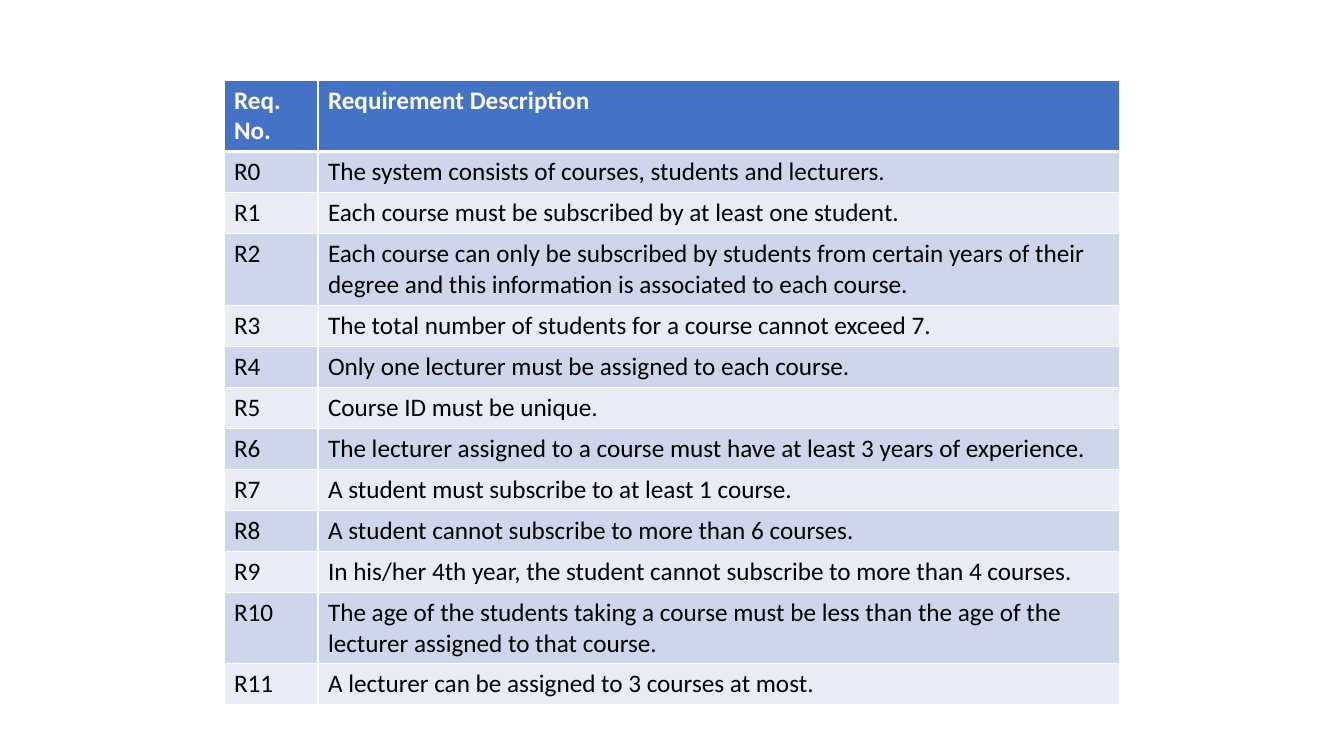
import pptx
import pptx.dml.color
import pptx.oxml
import pptx.oxml.ns
import pptx.util

# Content
HEADER = ("Req.\nNo.", "Requirement Description")
REQUIREMENTS = [
    "The system consists of courses, students and lecturers.",
    "Each course must be subscribed by at least one student.",
    "Each course can only be subscribed by students from certain years of their "
    "degree and this information is associated to each course.",
    "The total number of students for a course cannot exceed 7.",
    "Only one lecturer must be assigned to each course.",
    "Course ID must be unique.",
    "The lecturer assigned to a course must have at least 3 years of experience.",
    "A student must subscribe to at least 1 course.",
    "A student cannot subscribe to more than 6 courses.",
    "In his/her 4th year, the student cannot subscribe to more than 4 courses.",
    "The age of the students taking a course must be less than the age of the "
    "lecturer assigned to that course.",
    "A lecturer can be assigned to 3 courses at most.",
]

# Style and layout, lengths in px
COLORS = {"header": "4472C4", "odd": "CFD5EA", "even": "E9EBF5",
          "border": "FFFFFF", "header_text": "FFFFFF", "text": "000000"}
FONT, FONT_SIZE = "Calibri", 18
SLIDE_WIDTH, SLIDE_HEIGHT = 1344, 756
TABLE_LEFT, TABLE_TOP, TABLE_HEIGHT = 224, 80, 621
COLUMN_WIDTHS = (94, 802)
ROW_HEIGHT = 41
THIN, THICK = 1, 3


def px(length):
    return pptx.util.Emu(round(length * 914400 / 100.8))


def set_border(cell, side, points):
    line = pptx.oxml.parse_xml(
        f'<a:{side} {pptx.oxml.ns.nsdecls("a")} w="{pptx.util.Pt(points)}">'
        f'<a:solidFill><a:srgbClr val="{COLORS["border"]}"/></a:solidFill>'
        f'</a:{side}>')
    cell._tc.get_or_add_tcPr().append(line)


def fill_cell(cell, text, row):
    is_header = row == 0
    cell.text_frame.text = text
    for para in cell.text_frame.paragraphs:
        for span in para.runs:
            span.font.name = FONT
            span.font.size = pptx.util.Pt(FONT_SIZE)
            span.font.bold = is_header
            span.font.color.rgb = pptx.dml.color.RGBColor.from_string(
                COLORS["header_text" if is_header else "text"])
    # Borders come before the fill in the cell properties
    for side in ("lnL", "lnR", "lnT", "lnB"):
        thick = (row == 0 and side == "lnB") or (row == 1 and side == "lnT")
        set_border(cell, side, THICK if thick else THIN)
    shade = "header" if is_header else "odd" if row % 2 else "even"
    cell.fill.solid()
    cell.fill.fore_color.rgb = pptx.dml.color.RGBColor.from_string(COLORS[shade])


def main():
    deck = pptx.Presentation()
    deck.slide_width, deck.slide_height = px(SLIDE_WIDTH), px(SLIDE_HEIGHT)
    page = deck.slides.add_slide(deck.slide_layouts[6])

    # Requirements table
    rows = [HEADER] + [(f"R{number}", text)
                       for number, text in enumerate(REQUIREMENTS)]
    frame = page.shapes.add_table(
        len(rows), len(COLUMN_WIDTHS), px(TABLE_LEFT), px(TABLE_TOP),
        px(sum(COLUMN_WIDTHS)), px(TABLE_HEIGHT))
    table = frame.table
    for column, width in zip(table.columns, COLUMN_WIDTHS):
        column.width = px(width)
    for row, texts in enumerate(rows):
        table.rows[row].height = px(ROW_HEIGHT)
        for column, text in enumerate(texts):
            fill_cell(table.cell(row, column), text, row)
    # Wrapped rows grow beyond the base row height
    frame.height = px(TABLE_HEIGHT)

    deck.save("out.pptx")


if __name__ == "__main__":
    main()
